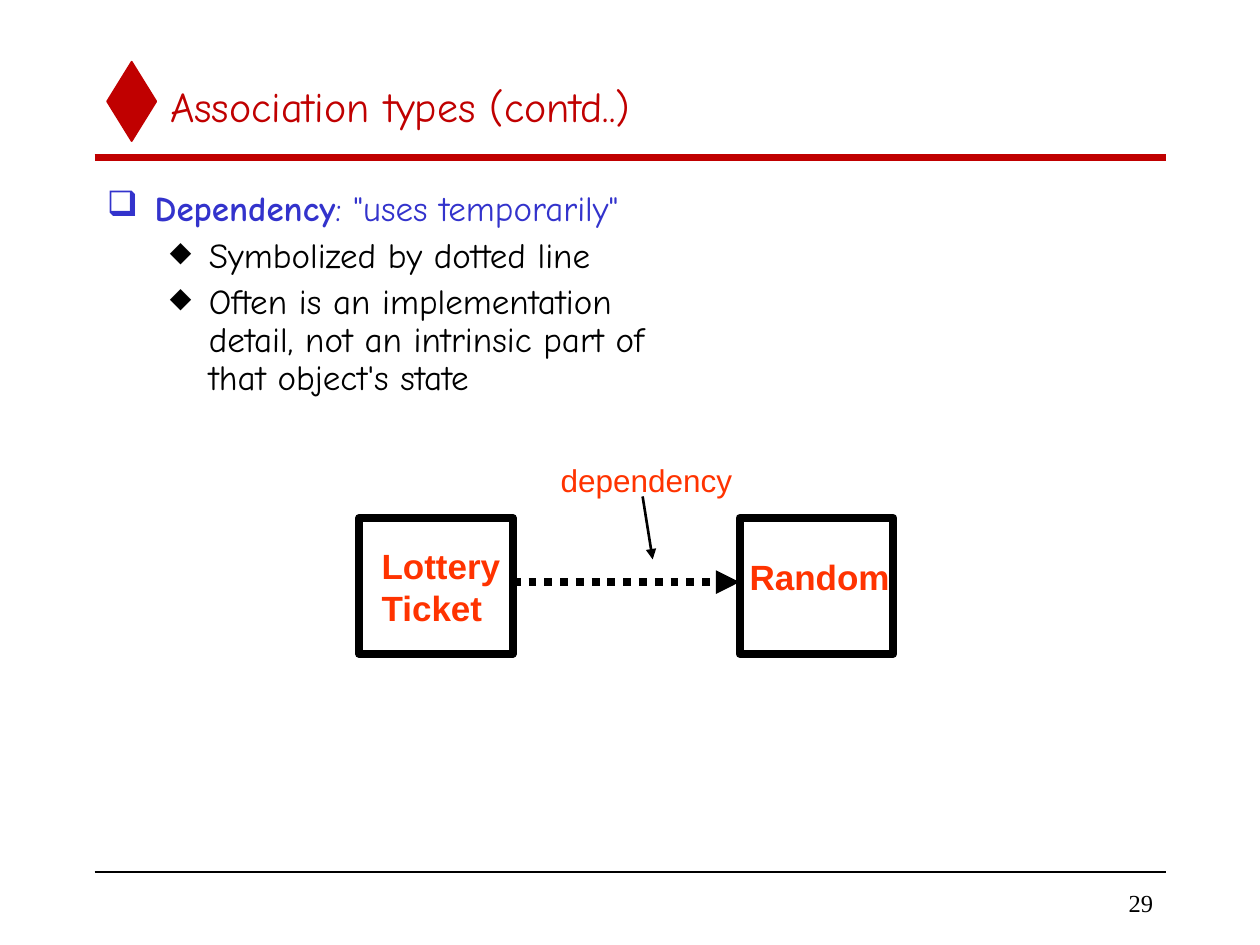
from lxml import etree
from pptx import Presentation
from pptx.dml.color import RGBColor
from pptx.enum import dml, shapes, text
from pptx.oxml import ns
from pptx.util import Inches, Pt

WIDE, HIGH = 10, 7.5
HUES = {"red": "C00000", "blue": "3333CC", "orange": "FF3300", "black": "000000"}
LEFT, MID, RIGHT = text.PP_ALIGN.LEFT, text.MSO_ANCHOR.MIDDLE, text.PP_ALIGN.RIGHT
TOP = text.MSO_ANCHOR.TOP


def hue(name):
    """Return the named colour."""
    return RGBColor.from_string(HUES[name])


def child(node, tag, **attrs):
    """Append a DrawingML element to a node."""
    return etree.SubElement(node, ns.qn(tag), attrs)


def place(item, box):
    """Move an item to a box given in inches."""
    item.left, item.top, item.width, item.height = map(Inches, box)


def write(para, words, size=20, font="Comic Neue", color="black", bold=False, align=LEFT, before=0):
    """Add formatted words, with line breaks, to a paragraph."""
    para.alignment, para.space_before = align, Pt(before)
    for i, line in enumerate(words.split("\n")):
        if i:
            para.add_line_break()
        run = para.add_run()
        run.text = line
        run.font.size, run.font.name, run.font.bold = Pt(size), font, bold
        run.font.color.rgb = hue(color)


def label(slide, box, words, anchor=TOP, wrap=True, **style):
    """Add a text box with one paragraph."""
    item = slide.shapes.add_textbox(*map(Inches, box))
    frame = item.text_frame
    frame.word_wrap, frame.vertical_anchor = wrap, anchor
    write(frame.paragraphs[0], words, **style)


def rule(slide, start, end, width, color="black", dash=None, arrow=False):
    """Draw a straight line, dashed or with an arrowhead if asked."""
    ends = map(Inches, (*start, *end))
    item = slide.shapes.add_connector(shapes.MSO_CONNECTOR.STRAIGHT, *ends)
    item.line.color.rgb, item.line.width = hue(color), Pt(width)
    if dash:
        item.line.dash_style = dash
    if arrow:
        child(item.line._get_or_add_ln(), "a:tailEnd", type="triangle")
    child(item._element.spPr, "a:effectLst")


def block(slide, kind, box, width, color="black", fill=None):
    """Draw an outlined shape, filled if asked."""
    item = slide.shapes.add_shape(kind, *map(Inches, box))
    item.shadow.inherit = False
    item.line.color.rgb, item.line.width = hue(color), Pt(width)
    if fill:
        item.fill.solid()
        item.fill.fore_color.rgb = hue(fill)
    else:
        item.fill.background()


def bullet(para, mark, color, indent, hang, scale=100):
    """Give a paragraph a bullet with a hanging indent."""
    props = para._p.get_or_add_pPr()
    props.set("marL", str(Inches(indent)))
    props.set("indent", str(-Inches(hang)))
    child(child(props, "a:buClr"), "a:srgbClr", val=HUES[color])
    child(props, "a:buSzPct", val=str(scale * 1000))
    child(props, "a:buChar", char=mark)


def header(slide, box):
    """Place the diamond, the title and the rule below them."""
    x, y, w, h = box
    block(slide, shapes.MSO_SHAPE.DIAMOND, (x + 0.1, y, 0.39, 0.63), 1, "red", "red")
    rule(slide, (x, y + h), (x + w, y + h), 4, "red")
    title = slide.shapes.title
    place(title, (x + 0.5, y + 0.01, w - 0.5, 0.67))
    frame = title.text_frame
    frame.auto_size = text.MSO_AUTO_SIZE.NONE
    frame.vertical_anchor = MID
    write(frame.paragraphs[0], "Association types (contd..)", size=24, color="red")


def body(slide, box):
    """Place the bulleted text."""
    frame = slide.shapes.add_textbox(*map(Inches, box)).text_frame
    frame.word_wrap = True
    head = frame.paragraphs[0]
    write(head, "Dependency", color="blue", bold=True, before=5)
    write(head, ': "uses temporarily"', color="blue", before=5)
    head.line_spacing = 0.9
    bullet(head, "❑", "blue", 0.38, 0.38)
    for words in ("Symbolized by dotted line",
                  "Often is an implementation\ndetail, not an intrinsic part of\nthat object's state"):
        para = frame.add_paragraph()
        para.level = 1
        write(para, words, before=5)
        para.line_spacing = 0.9
        bullet(para, "◆", "black", 0.81, 0.31, 80)


def graph(slide, box):
    """Place the two classes and the dotted arrow between them."""
    x, y, w, h = box
    side, mid = 1.22, y + 0.51
    far = x + w - side
    for left in (x, far):
        block(slide, shapes.MSO_SHAPE.RECTANGLE, (left, y, side, h), 4.5)
    rule(slide, (x + side, mid), (far, mid), 4.5, dash=dml.MSO_LINE.ROUND_DOT, arrow=True)
    name = dict(font="Arial", color="orange", bold=True, before=12.5)
    label(slide, (x + 0.08, y + 0.16, 1.26, 0.77), "Lottery\nTicket", **name)
    label(slide, (far - 0.02, y + 0.25, 1.42, 0.44), "Random", **name)
    label(slide, (x + 1.5, y - 0.5, 1.75, 0.4), "dependency",
          size=18, font="Arial", color="orange", before=11.2)
    rule(slide, (x + 2.25, y - 0.17), (x + 2.33, y + 0.33), 1.5, arrow=True)


def footer(slide, box):
    """Place the bottom rule and the page number."""
    x, y, w, h = box
    rule(slide, (x, y), (x + w, y), 1)
    label(slide, (x + w - 1.42, y + 0.08, 1.42, h), "29", anchor=MID, wrap=False,
          size=14, font="Times New Roman", align=RIGHT)


def main():
    """Build and save the slide."""
    deck = Presentation()
    deck.slide_width, deck.slide_height = Inches(WIDE), Inches(HIGH)
    slide = deck.slides.add_slide(deck.slide_layouts[5])
    edge, span = WIDE * 0.075, WIDE * 0.85
    header(slide, (edge, 0.49, span, 0.76))
    body(slide, (edge, 1.47, span, 5.36))
    footer(slide, (edge, 6.92, span, 0.33))
    graph(slide, (2.85, 4.11, 4.24, 1.08))
    deck.save("out.pptx")


if __name__ == "__main__":
    main()
